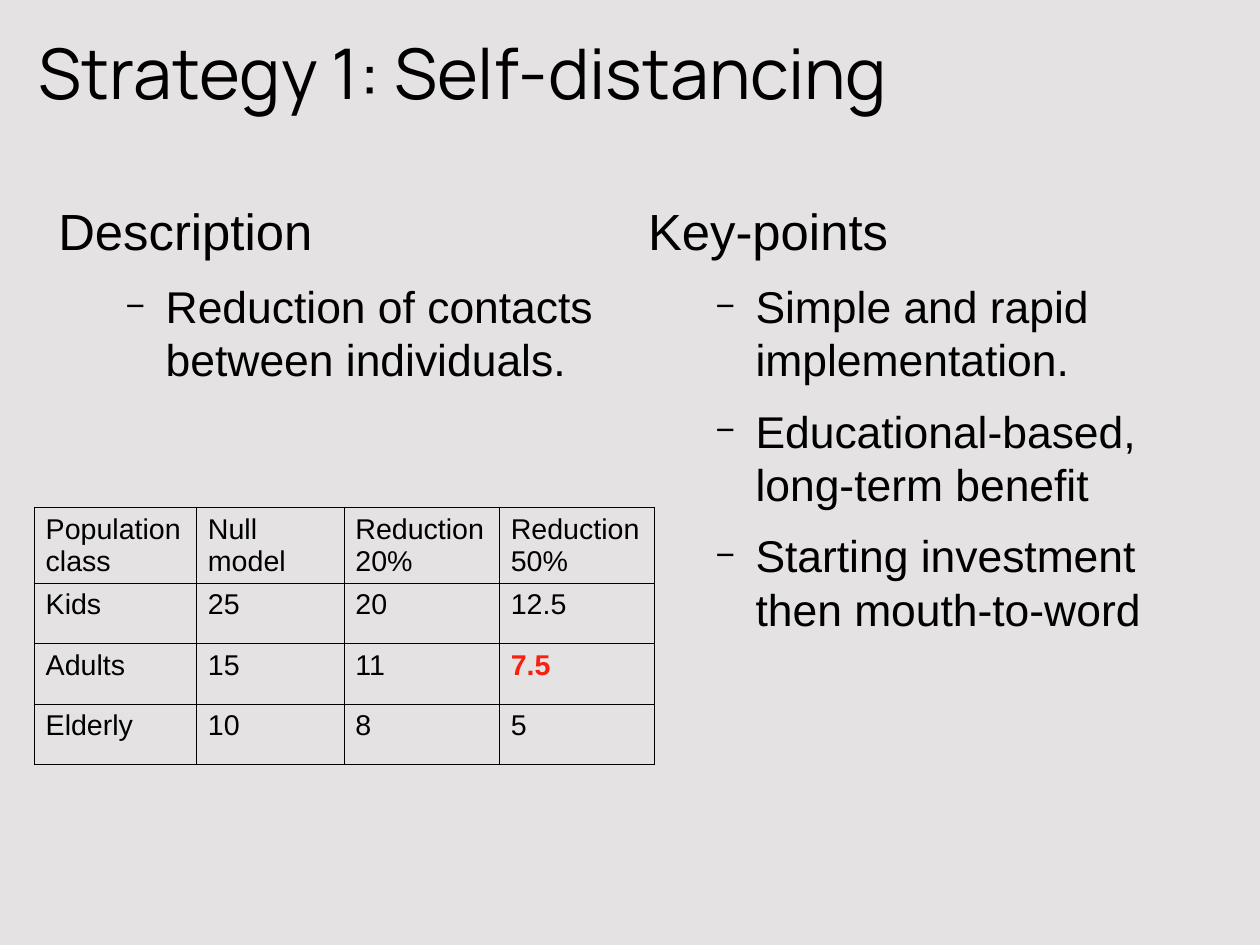
"""Builds the self-distancing strategy slide."""
from dataclasses import dataclass

from lxml.etree import SubElement
from pptx import Presentation
from pptx.dml.color import RGBColor
from pptx.enum.text import MSO_ANCHOR, MSO_AUTO_SIZE, PP_ALIGN
from pptx.oxml.ns import qn
from pptx.util import Inches, Pt


@dataclass(frozen=True)
class Theme:
    background: str = "E4E2E2"
    ink: str = "000000"
    accent: str = "F9200F"
    title_font: str = "Manrope"
    body_font: str = "Arial"
    title_size: float = 44
    heading_size: float = 32
    item_size: float = 28
    table_size: float = 18
    border_width: float = 0.57


@dataclass(frozen=True)
class Column:
    idx: int
    left: float
    heading: str
    items: tuple[str, ...]


THEME = Theme()
CM_PER_INCH = 2.54
SLIDE_WIDTH_CM, SLIDE_HEIGHT_CM = 28, 21
COLUMNS = (
    Column(1, 0.51, "Description", ("Reduction of contacts between individuals.",)),
    Column(2, 5.67, "Key-points", (
        "Simple and rapid implementation.",
        "Educational-based, long-term benefit",
        "Starting investment then mouth-to-word",
    )),
)
TABLE_ROWS = (
    ("Population class", "Null model", "Reduction 20%", "Reduction\n50%"),
    ("Kids", "25", "20", "12.5"),
    ("Adults", "15", "11", "7.5"),
    ("Elderly", "10", "8", "5"),
)
COL_WIDTHS = (1.42, 1.29, 1.36, 1.36)
ROW_HEIGHTS = (0.66, 0.53, 0.53, 0.53)
HIGHLIGHT = (2, 3)


def write(p, text: str, *, size: float, font: str = THEME.body_font,
          color: str = THEME.ink, bold: bool = False) -> None:
    """Add a formatted run to a paragraph."""
    r = p.add_run()
    r.text = text
    r.font.name, r.font.size, r.font.bold = font, Pt(size), bold
    r.font.color.rgb = RGBColor.from_string(color)


def place(sp, left: float, top: float, width: float, height: float) -> None:
    """Move and size a shape, in inches."""
    sp.left, sp.top = Inches(left), Inches(top)
    sp.width, sp.height = Inches(width), Inches(height)


def set_frame(tf, x: float, y: float) -> None:
    """Set insets in inches and anchor the text at the top."""
    tf.margin_left = tf.margin_right = Inches(x)
    tf.margin_top = tf.margin_bottom = Inches(y)
    tf.vertical_anchor = MSO_ANCHOR.TOP
    tf.auto_size = MSO_AUTO_SIZE.NONE
    tf.word_wrap = True


def set_bullet(p, char: str = "", left: float = 0, hanging: float = 0) -> None:
    """Set the indent and the dash of a paragraph, or no bullet."""
    pPr = p._p.get_or_add_pPr()
    pPr.set("marL", str(Inches(left)))
    pPr.set("indent", str(-Inches(hanging)))
    if not char:
        SubElement(pPr, qn("a:buNone"))
        return
    clr = SubElement(pPr, qn("a:buClr"))
    SubElement(clr, qn("a:srgbClr"), val=THEME.ink)
    SubElement(pPr, qn("a:buSzPct"), val="75000")
    SubElement(pPr, qn("a:buChar"), char=char)


def add_title(slide, text: str) -> None:
    """Fill the title placeholder."""
    sp = slide.shapes.title
    place(sp, 0.24, 0.21, 8.42, 0.93)
    set_frame(sp.text_frame, 0.1, 0.05)
    p = sp.text_frame.paragraphs[0]
    p.alignment = PP_ALIGN.LEFT
    write(p, text, size=THEME.title_size, font=THEME.title_font)


def add_column(slide, column: Column) -> None:
    """Fill a body placeholder with a heading and dashed items."""
    sp = slide.placeholders[column.idx]
    place(sp, column.left, 1.75, 4.69, 4.35)
    tf = sp.text_frame
    set_frame(tf, 0, 0)
    p = tf.paragraphs[0]
    p.space_before = Pt(14.2)
    set_bullet(p)
    write(p, column.heading, size=THEME.heading_size)
    for item in column.items:
        p = tf.add_paragraph()
        p.level, p.space_before = 1, Pt(11.3)
        set_bullet(p, "−", 0.94, 0.35)
        write(p, item, size=THEME.item_size)


def set_borders(cell) -> None:
    """Draw thin lines on all four sides of a cell."""
    tcPr = cell._tc.get_or_add_tcPr()
    for i, side in enumerate(("lnL", "lnR", "lnT", "lnB")):
        ln = tcPr.makeelement(qn(f"a:{side}"), {"w": str(Pt(THEME.border_width))})
        fill = SubElement(ln, qn("a:solidFill"))
        SubElement(fill, qn("a:srgbClr"), val=THEME.ink)
        tcPr.insert(i, ln)


def add_population_table(slide) -> None:
    """Add the table of contacts per population class."""
    table = slide.shapes.add_table(
        len(ROW_HEIGHTS), len(COL_WIDTHS), Inches(0.3), Inches(4.44),
        Inches(sum(COL_WIDTHS)), Inches(sum(ROW_HEIGHTS))).table
    table.first_row = table.horz_banding = False
    for col, width in zip(table.columns, COL_WIDTHS):
        col.width = Inches(width)
    for row, height in zip(table.rows, ROW_HEIGHTS):
        row.height = Inches(height)
    for i, texts in enumerate(TABLE_ROWS):
        for j, text in enumerate(texts):
            cell = table.cell(i, j)
            cell.fill.background()
            set_borders(cell)
            marked = (i, j) == HIGHLIGHT
            tf = cell.text_frame
            for n, line in enumerate(text.split("\n")):
                p = tf.add_paragraph() if n else tf.paragraphs[0]
                write(p, line, size=THEME.table_size, bold=marked,
                      color=THEME.accent if marked else THEME.ink)


def main() -> None:
    """Build and save the slide."""
    prs = Presentation()
    prs.slide_width = Inches(SLIDE_WIDTH_CM / CM_PER_INCH)
    prs.slide_height = Inches(SLIDE_HEIGHT_CM / CM_PER_INCH)
    slide = prs.slides.add_slide(prs.slide_layouts.get_by_name("Two Content"))
    fill = slide.background.fill
    fill.solid()
    fill.fore_color.rgb = RGBColor.from_string(THEME.background)
    add_title(slide, "Strategy 1: Self-distancing")
    for column in COLUMNS:
        add_column(slide, column)
    add_population_table(slide)
    prs.save("out.pptx")


if __name__ == "__main__":
    main()
